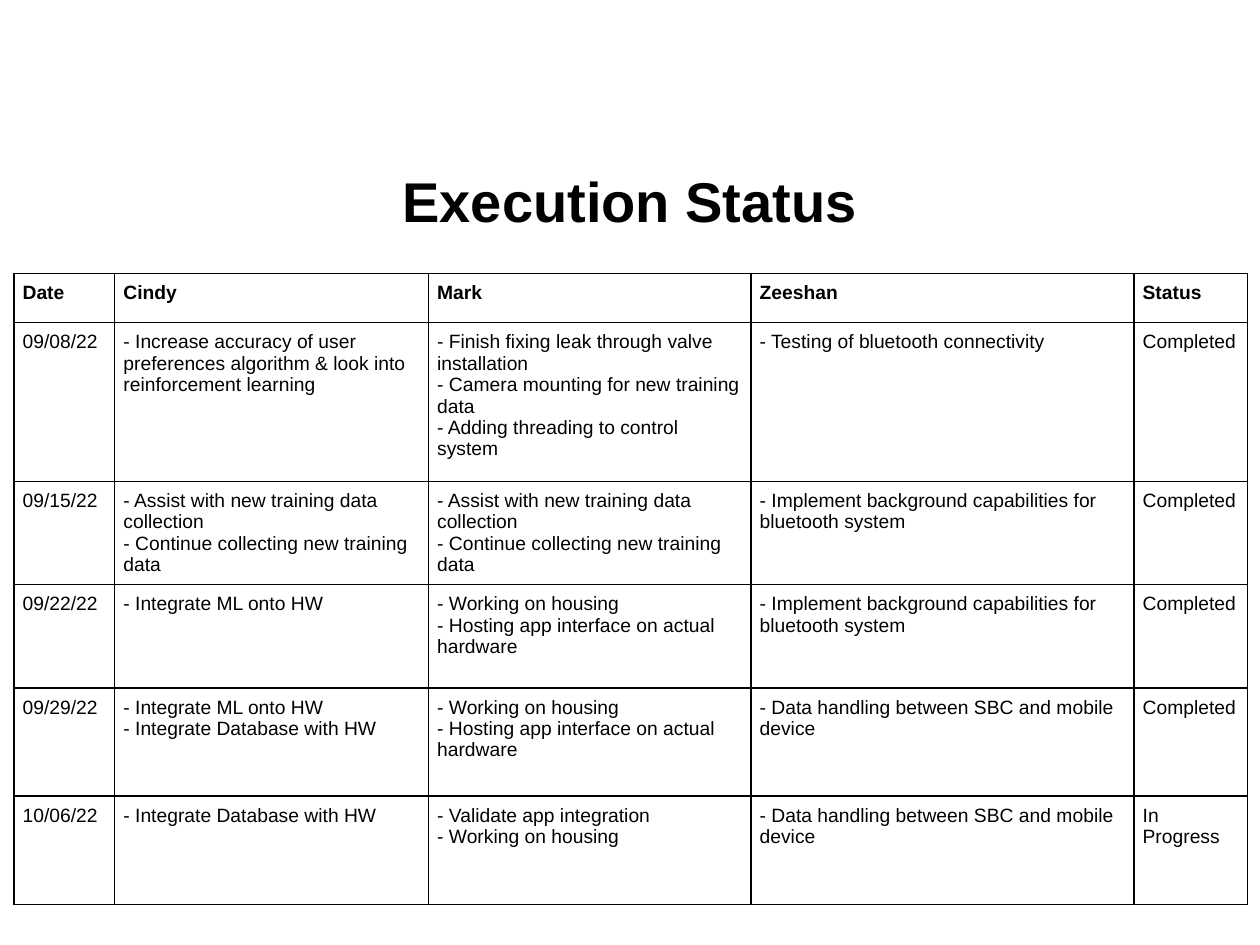
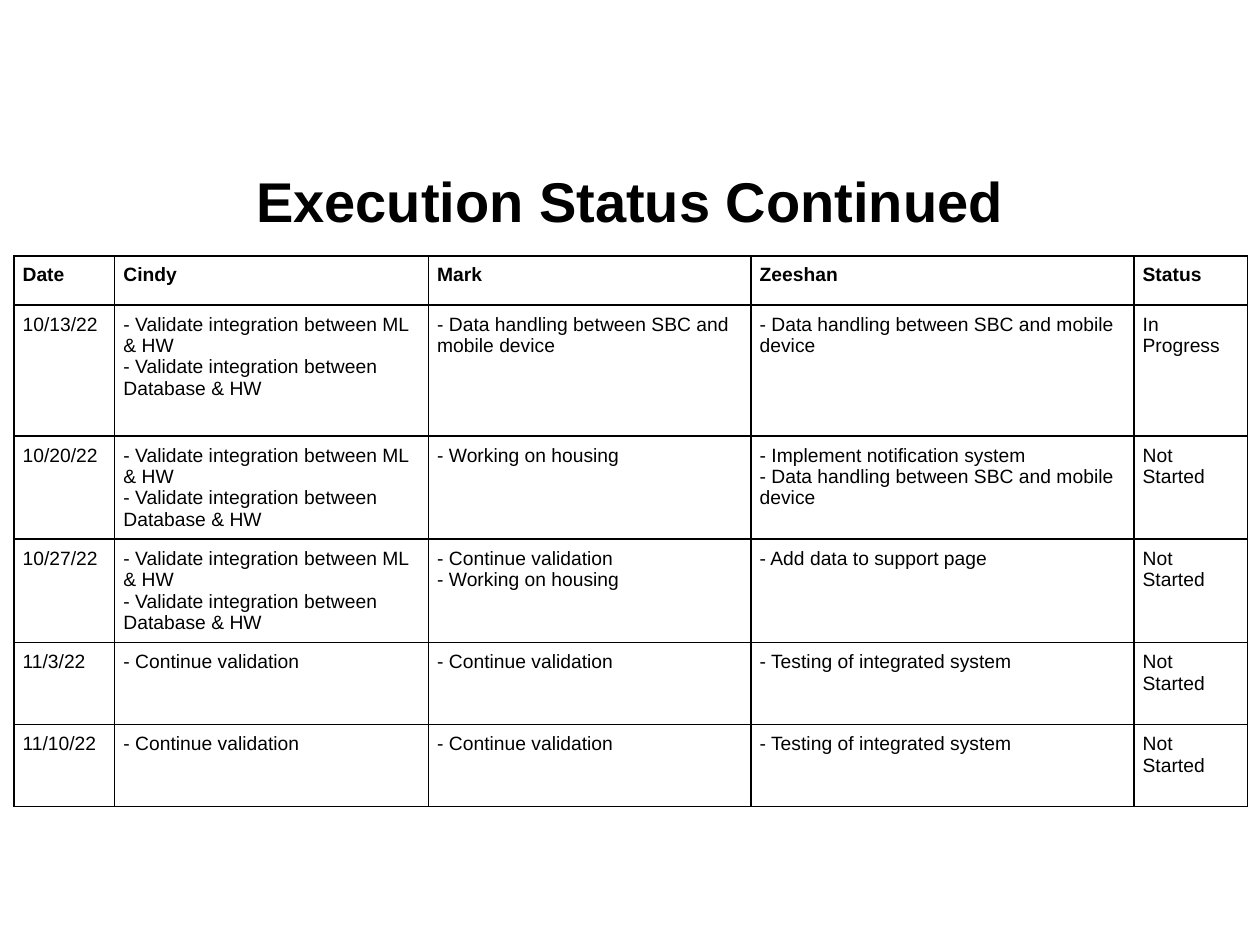
"""Build two execution status slides, each a title over a bordered weekly task table."""
from lxml import etree
from pptx import Presentation
from pptx.dml.color import RGBColor
from pptx.enum.text import MSO_ANCHOR, PP_ALIGN
from pptx.oxml.ns import qn
from pptx.util import Inches, Pt

CENTER = PP_ALIGN.CENTER
MIDDLE = MSO_ANCHOR.MIDDLE
INK = RGBColor(0, 0, 0)
FONT = "Arial"

HEADINGS = ("Date", "Cindy", "Mark", "Zeeshan", "Status")
COLUMN_WIDTHS = (0.8, 2.49, 2.56, 3.04, 0.9)
HEADING_HEIGHT = 0.39
TABLE_LEFT = 0.11
CELL_INSET = 0.07

COLLECT = ("- Assist with new training data collection\n"
           "- Continue collecting new training data")
HOST = "- Working on housing\n- Hosting app interface on actual hardware"
BACKGROUND = "- Implement background capabilities for bluetooth system"
HANDLING = "- Data handling between SBC and mobile device"
VALIDATE = ("- Validate integration between ML & HW\n"
            "- Validate integration between Database & HW")
CONTINUE = "- Continue validation"
TESTING = "- Testing of integrated system"

STATUS_SLIDES = (
    {
        "title": "Execution Status",
        "top": 2.17,
        "heights": (1.26, 0.82, 0.82, 0.86, 0.86),
        "weeks": (
            ("09/08/22",
             "- Increase accuracy of user preferences algorithm & look into reinforcement learning",
             "- Finish fixing leak through valve installation\n"
             "- Camera mounting for new training data\n"
             "- Adding threading to control system",
             "- Testing of bluetooth connectivity", "Completed"),
            ("09/15/22", COLLECT, COLLECT, BACKGROUND, "Completed"),
            ("09/22/22", "- Integrate ML onto HW", HOST, BACKGROUND, "Completed"),
            ("09/29/22", "- Integrate ML onto HW\n- Integrate Database with HW",
             HOST, HANDLING, "Completed"),
            ("10/06/22", "- Integrate Database with HW",
             "- Validate app integration\n- Working on housing", HANDLING, "In Progress"),
        ),
    },
    {
        "title": "Execution Status Continued",
        "top": 2.03,
        "heights": (1.04, 0.82, 0.82, 0.65, 0.65),
        "weeks": (
            ("10/13/22", VALIDATE, HANDLING, HANDLING, "In Progress"),
            ("10/20/22", VALIDATE, "- Working on housing",
             "- Implement notification system\n" + HANDLING, "Not Started"),
            ("10/27/22", VALIDATE, CONTINUE + "\n- Working on housing",
             "- Add data to support page", "Not Started"),
            ("11/3/22", CONTINUE, CONTINUE, TESTING, "Not Started"),
            ("11/10/22", CONTINUE, CONTINUE, TESTING, "Not Started"),
        ),
    },
)


def style_text(frame, size, bold):
    for paragraph in frame.paragraphs:
        for run in paragraph.runs:
            run.font.name = FONT
            run.font.size = Pt(size)
            run.font.bold = bold
            run.font.color.rgb = INK


def add_title(slide, wording):
    title = slide.shapes.title
    title.left, title.top = Inches(0.5), Inches(1.15)
    title.width, title.height = Inches(9), Inches(0.88)
    frame = title.text_frame
    frame.text = wording
    frame.vertical_anchor = MIDDLE
    frame.paragraphs[0].alignment = CENTER
    style_text(frame, 32, True)


def add_borders(cell):
    properties = cell._tc.get_or_add_tcPr()
    for side in ("a:lnL", "a:lnR", "a:lnT", "a:lnB"):
        line = etree.SubElement(properties, qn(side), w=str(Pt(1)))
        fill = etree.SubElement(line, qn("a:solidFill"))
        etree.SubElement(fill, qn("a:srgbClr"), val=str(INK))


def fill_cell(cell, wording, bold):
    cell.margin_left = cell.margin_right = Inches(CELL_INSET)
    cell.margin_top = cell.margin_bottom = Inches(CELL_INSET)
    cell.text_frame.text = wording
    style_text(cell.text_frame, 11, bold)
    add_borders(cell)
    cell.fill.background()


def add_schedule(slide, top, heights, weeks):
    rows = (HEADINGS, *weeks)
    row_heights = (HEADING_HEIGHT, *heights)
    schedule = slide.shapes.add_table(
        len(rows), len(HEADINGS), Inches(TABLE_LEFT), Inches(top),
        Inches(sum(COLUMN_WIDTHS)), Inches(sum(row_heights))).table
    schedule.horz_banding = False
    schedule.first_row = False
    for column, width in zip(schedule.columns, COLUMN_WIDTHS):
        column.width = Inches(width)
    for index, (row, height) in enumerate(zip(schedule.rows, row_heights)):
        row.height = Inches(height)
        for cell, wording in zip(row.cells, rows[index]):
            fill_cell(cell, wording, index == 0)


def main():
    deck = Presentation()
    deck.slide_width, deck.slide_height = Inches(10), Inches(7.5)
    title_only = deck.slide_layouts[5]
    for status in STATUS_SLIDES:
        slide = deck.slides.add_slide(title_only)
        add_title(slide, status["title"])
        add_schedule(slide, status["top"], status["heights"], status["weeks"])
    deck.save("out.pptx")


if __name__ == "__main__":
    main()
